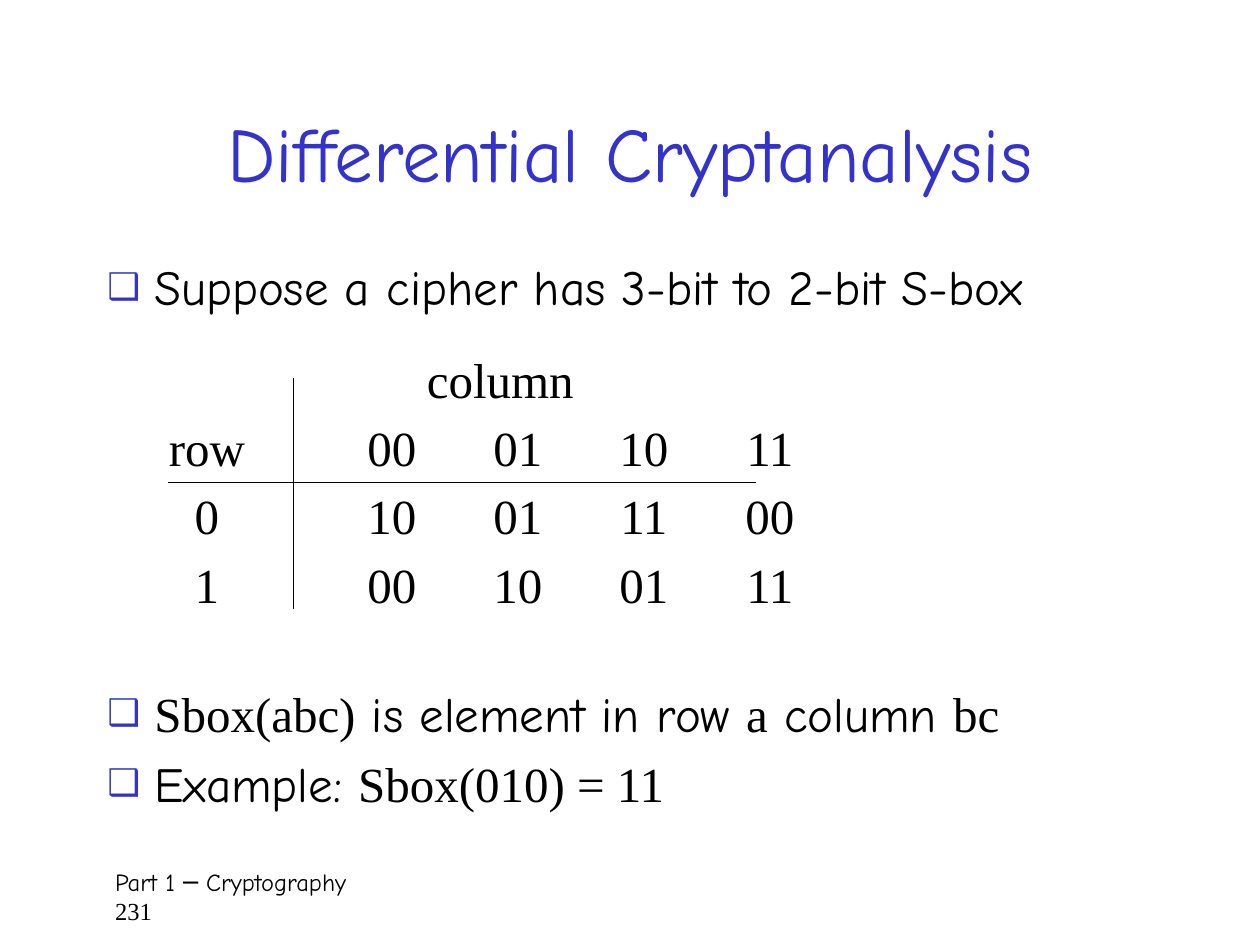
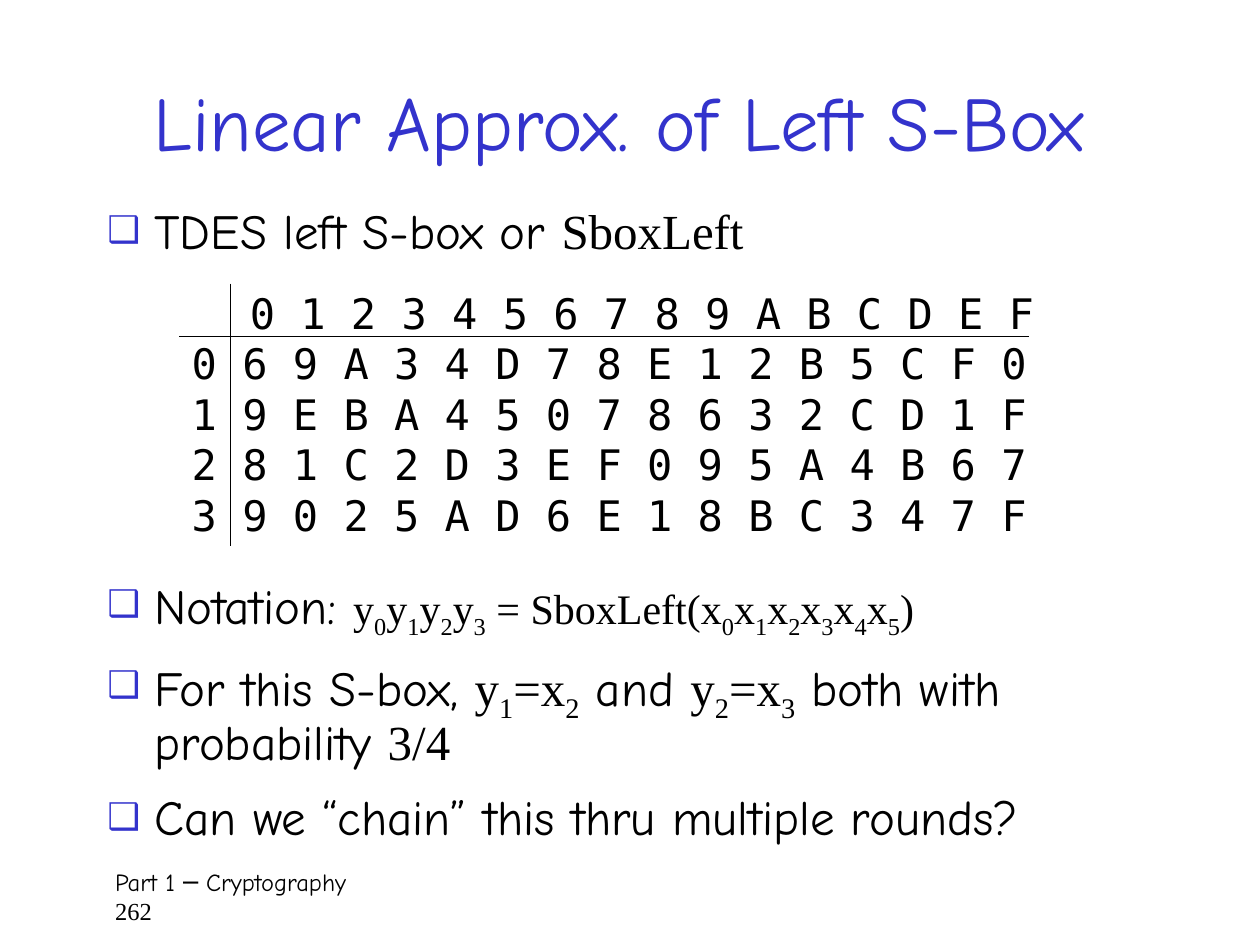
from dataclasses import dataclass

from lxml.etree import SubElement
from pptx import Presentation
from pptx.dml.color import RGBColor
from pptx.enum.shapes import MSO_CONNECTOR
from pptx.enum.text import MSO_ANCHOR, MSO_AUTO_SIZE, PP_ALIGN
from pptx.oxml.ns import qn
from pptx.util import Cm, Pt


@dataclass(frozen=True)
class Theme:
    accent: RGBColor = RGBColor(0x33, 0x33, 0xCC)
    ink: RGBColor = RGBColor(0, 0, 0)
    plain: str = "Comic Neue"
    math: str = "Times New Roman"
    mono: str = "DejaVu Sans Mono"
    title: Pt = Pt(44)
    body: Pt = Pt(28)
    small: Pt = Pt(24)
    footer: Pt = Pt(14)
    rule: Pt = Pt(0.75)
    gap: Pt = Pt(6.5)
    no_grid: str = "{2D5ABB26-0587-4C30-8999-92F81FD0307C}"


THEME = Theme()


def style(font, size, color, name=None):
    font.size, font.color.rgb = size, color
    if name:
        font.name = name


def place(shape, left, top, width, height):
    shape.left, shape.top = Cm(left), Cm(top)
    shape.width, shape.height = Cm(width), Cm(height)


def add_title(slide, text, box):
    title = slide.shapes.title
    place(title, *box)
    frame = title.text_frame
    frame.text = text
    frame.auto_size = MSO_AUTO_SIZE.NONE
    frame.vertical_anchor = MSO_ANCHOR.MIDDLE
    heading = frame.paragraphs[0]
    heading.alignment = PP_ALIGN.CENTER
    style(heading.font, THEME.title, THEME.accent, THEME.plain)


def add_bullet(paragraph):
    props = paragraph._p.get_or_add_pPr()
    props.set("marL", str(Cm(0.95)))
    props.set("indent", str(-Cm(0.95)))
    color = SubElement(props, qn("a:buClr"))
    SubElement(color, qn("a:srgbClr"), val=str(THEME.accent))
    SubElement(props, qn("a:buSzPct"), val="75000")
    SubElement(props, qn("a:buChar"), char="❑")


def add_math(paragraph, text, size=None):
    """Each character after an underscore becomes a subscript."""
    head, *tails = text.split("_")
    pieces = [(head, False)]
    for tail in tails:
        pieces += [(tail[0], True), (tail[1:], False)]
    for piece, lowered in pieces:
        if piece:
            run = paragraph.add_run()
            run.text = piece
            run.font.name = THEME.math
            if size:
                run.font.size = size
            if lowered:
                run._r.get_or_add_rPr().set("baseline", "-25000")


def add_list(slide, index, items, box, spacing=1.0, after=Pt(0), math_sizes=()):
    body = slide.placeholders[index]
    place(body, *box)
    frame = body.text_frame
    frame.auto_size = MSO_AUTO_SIZE.NONE
    frame.margin_top = Cm(0.23)
    for number, item in enumerate(items):
        paragraph = frame.add_paragraph() if number else frame.paragraphs[0]
        add_bullet(paragraph)
        paragraph.line_spacing = spacing
        paragraph.space_before = THEME.gap if number else Pt(0)
        paragraph.space_after = after
        style(paragraph.font, THEME.body, THEME.ink)
        if isinstance(item, str):
            paragraph.add_run().text = item
            paragraph.font.name = THEME.plain
            continue
        for position, text in enumerate(item):
            if position % 2:
                add_math(paragraph, text, dict(math_sizes).get(number))
            elif text:
                run = paragraph.add_run()
                run.text = text
                run.font.name = THEME.plain


def add_sbox(slide, rows, left, top, widths, row_height, font, size):
    frame = slide.shapes.add_table(
        len(rows), len(widths), Cm(left), Cm(top),
        Cm(sum(widths)), Cm(row_height * len(rows)))
    sbox = frame.table
    sbox.first_row = sbox.horz_banding = False
    sbox._tbl.tblPr.find(qn("a:tableStyleId")).text = THEME.no_grid
    for column, width in zip(sbox.columns, widths):
        column.width = Cm(width)
    for row, values in zip(sbox.rows, rows):
        row.height = Cm(row_height)
        for cell, value in zip(row.cells, values):
            cell.fill.background()
            cell.margin_left = cell.margin_right = 0
            cell.margin_top = cell.margin_bottom = 0
            cell.vertical_anchor = MSO_ANCHOR.MIDDLE
            cell.text = value
            entry = cell.text_frame.paragraphs[0]
            entry.alignment = PP_ALIGN.CENTER
            style(entry.font, size, THEME.ink, font)
    return sbox


def add_rule(slide, x1, y1, x2, y2):
    rule = slide.shapes.add_connector(
        MSO_CONNECTOR.STRAIGHT, Cm(x1), Cm(y1), Cm(x2), Cm(y2))
    rule.line.color.rgb = THEME.ink
    rule.line.width = THEME.rule
    SubElement(rule._element.spPr, qn("a:effectLst"))


def add_footer(slide, number):
    footer = slide.shapes.add_textbox(Cm(1.91), Cm(17.35), Cm(21.79), Cm(1.27))
    frame = footer.text_frame
    frame.word_wrap = True
    frame.margin_left = Cm(0.41)
    frame.text = f"Part 1 ─ Cryptography\n{number}"
    for paragraph, font in zip(frame.paragraphs, (THEME.plain, THEME.math)):
        style(paragraph.font, THEME.footer, THEME.ink, font)


def build_differential(slide):
    add_footer(slide, 231)
    add_title(slide, "Differential Cryptanalysis", (1.91, 1.47, 21.59, 3.18))
    add_list(slide, 1, ["Suppose a cipher has 3-bit to 2-bit S-box"],
             (1.91, 5.08, 21.59, 2.11), spacing=0.9)
    rows = [["", "column", "", "", ""],
            "row 00 01 10 11".split(),
            "0 10 01 11 00".split(),
            "1 00 10 01 11".split()]
    sbox = add_sbox(slide, rows, 3.18, 7, [3.45] + [2.54] * 4, 1.38,
                    THEME.math, THEME.body)
    column_label = sbox.cell(0, 1)
    column_label.merge(sbox.cell(0, 4))
    column_label.margin_right = Cm(3.25)
    for row in range(len(rows)):
        sbox.cell(row, 0).margin_right = Cm(1.47)
    add_rule(slide, 5.92, 7.62, 5.92, 12.27)
    add_rule(slide, 3.39, 9.73, 15.24, 9.73)
    add_list(slide, 2,
             [("", "Sbox(abc)", " is element in row ", "a", " column ", "bc"),
              ("Example: ", "Sbox(010) = 11")],
             (1.91, 13.54, 21.59, 3.18))


def build_linear(slide):
    add_footer(slide, 262)
    add_title(slide, "Linear Approx. of Left S-Box", (1.27, 0.84, 22.43, 3.18))
    add_list(slide, 1, [("TDES left S-box or ", "SboxLeft")],
             (1.91, 3.81, 21.39, 1.91))
    rows = [" 0123456789ABCDEF",
            "069A34D78E12B5CF0",
            "19EBA45078632CD1F",
            "281C2D3EF095A4B67",
            "39025AD6E18BC347F"]
    rows[0] = [digit.strip() for digit in rows[0]]
    sbox = add_sbox(slide, rows, 3.61, 5.83, [1.02] * 17, 1.02,
                    THEME.mono, THEME.small)
    for column in range(1, 17):
        sbox.cell(0, column).margin_left = Cm(0.3)
    add_rule(slide, 4.65, 5.72, 4.65, 11)
    add_rule(slide, 3.61, 6.78, 20.75, 6.78)
    add_list(slide, 2,
             [("Notation: ", "y_0y_1y_2y_3 = SboxLeft(x_0x_1x_2x_3x_4x_5)"),
              ("For this S-box, ", "y_1=x_2", " and ", "y_2=x_3",
               " both with probability ", "3/4"),
              "Can we “chain” this thru multiple rounds?"],
             (1.91, 11.43, 21.16, 5.92), spacing=0.9, after=Pt(6),
             math_sizes={0: THEME.small})


def main():
    deck = Presentation()
    deck.slide_width, deck.slide_height = Cm(25.4), Cm(19.05)
    two_lists = deck.slide_layouts[3]
    for build in (build_differential, build_linear):
        build(deck.slides.add_slide(two_lists))
    deck.save("out.pptx")


if __name__ == "__main__":
    main()
